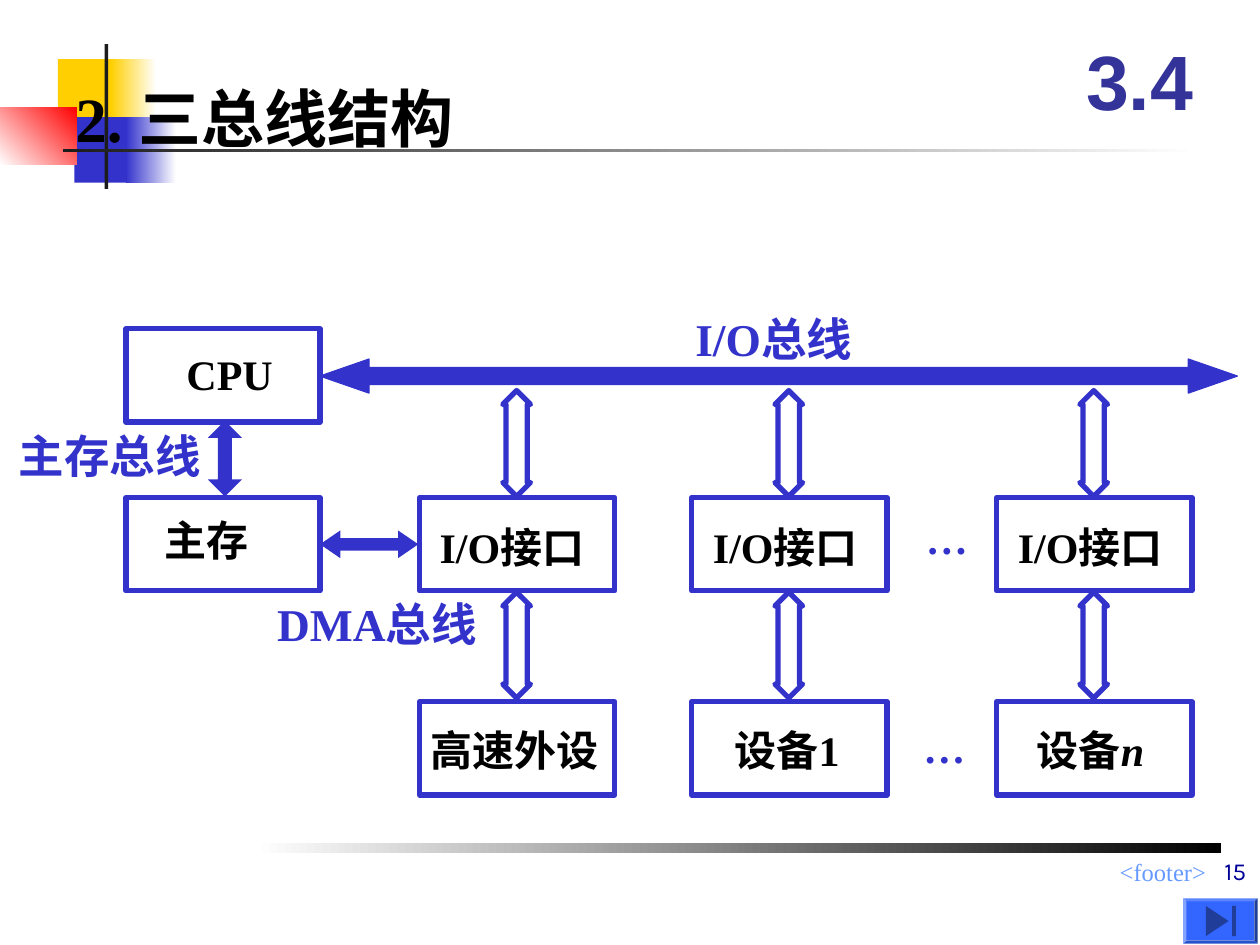
from lxml import etree
from pptx import Presentation
from pptx.dml.color import RGBColor
from pptx.enum.shapes import MSO_SHAPE
from pptx.enum.text import MSO_ANCHOR, PP_ALIGN
from pptx.oxml.ns import qn
from pptx.util import Inches, Pt

RECT = MSO_SHAPE.RECTANGLE
WIDE = MSO_SHAPE.LEFT_RIGHT_ARROW
TALL = MSO_SHAPE.UP_DOWN_ARROW
BEVEL = MSO_SHAPE.BEVEL
WEDGE = MSO_SHAPE.ISOSCELES_TRIANGLE
LEFT, MID, RIGHT = PP_ALIGN.LEFT, PP_ALIGN.CENTER, PP_ALIGN.RIGHT
TOP, CENTER, BOTTOM = MSO_ANCHOR.TOP, MSO_ANCHOR.MIDDLE, MSO_ANCHOR.BOTTOM
TIMES, CJK = "Times New Roman", "Noto Sans CJK SC"

COLORS = {
    "blue": "3333CC", "yellow": "FFCF01", "red": "FF0000", "white": "FFFFFF",
    "dark": "1C1C1C", "black": "000000", "foot": "6699FF", "page": "000099",
    "mark": "333399", "button": "3366FF", "glyph": "1F3D99",
}
RGB = {name: RGBColor.from_string(code) for name, code in COLORS.items()}

prs = Presentation()
prs.slide_width, prs.slide_height = Inches(10), Inches(7.5)
slide = prs.slides.add_slide(prs.slide_layouts[6])


def draw(kind, spot, fill=None, line=None, width=3, adj=(), angle=180):
    """Add a preset shape; a pair of colours as fill makes a gradient."""
    shape = slide.shapes.add_shape(kind, *[Inches(v) for v in spot])
    shape.shadow.inherit = False
    for i, value in enumerate(adj):
        shape.adjustments[i] = value
    if fill is None:
        shape.fill.background()
    elif isinstance(fill, tuple):
        shape.fill.gradient()
        shape.fill.gradient_angle = angle
        for stop, name in zip(shape.fill.gradient_stops, fill):
            stop.color.rgb = RGB[name]
    else:
        shape.fill.solid()
        shape.fill.fore_color.rgb = RGB[fill]
    if line:
        shape.line.color.rgb = RGB[line]
        shape.line.width = Pt(width)
    else:
        shape.line.fill.background()
    return shape


def write(spot, runs, size=24, color="black", bold=True, pad=True,
          wrap=True, align=LEFT, anchor=TOP):
    """Add a one-line text box; runs are (text, font) pairs."""
    frame = slide.shapes.add_textbox(*[Inches(v) for v in spot]).text_frame
    frame.word_wrap = wrap
    frame.vertical_anchor = anchor
    if not pad:
        frame.margin_left = frame.margin_right = 0
        frame.margin_top = frame.margin_bottom = 0
    para = frame.paragraphs[0]
    para.alignment = align
    font = para.font
    font.size, font.bold, font.name = Pt(size), bold, runs[0][1]
    font.color.rgb = RGB[color]
    base = para._p.pPr.find(qn("a:defRPr"))
    etree.SubElement(base, qn("a:ea")).set("typeface", CJK)
    for text, face in runs:
        run = para.add_run()
        run.text = text
        if face != runs[0][1]:
            run.font.name = face
    return para


# Corner ornament and rules
draw(RECT, (0.46, 0.47, 0.48, 0.52), "yellow")
draw(RECT, (0.88, 0.47, 0.36, 0.52), ("white", "yellow"))
draw(RECT, (0.59, 0.93, 0.46, 0.52), "blue")
draw(RECT, (1, 0.93, 0.4, 0.52), ("white", "blue"))
draw(RECT, (0, 0.85, 0.61, 0.46), ("red", "white"), angle=225)
draw(RECT, (0.83, 0.35, 0.03, 1.15), "dark")
draw(RECT, (0.5, 1.18, 9, 0.03), ("white", "dark"))
draw(RECT, (2.02, 6.69, 7.67, 0.08), ("black", "white"))

# Title, section mark and footer
write((0.5, 0.58, 8.5, 0.75), [("2. 三总线结构", TIMES)], 36)
write((8.42, 0.17, 1.25, 0.92), [("3.4", "Arial")], 44, "mark",
      align=MID, anchor=CENTER)
write((3.92, 6.75, 5.75, 0.26), [("<footer>", TIMES)], 14, "foot",
      bold=False, align=RIGHT)
write((5.21, 6.58, 4.78, 0.5), [("15", "Karla")], 14, "page",
      bold=False, align=RIGHT, anchor=BOTTOM)

# Three buses and their labels
draw(TALL, (1.65, 3.34, 0.27, 0.6), "blue", adj=(0.52, 0.41))
draw(WIDE, (2.54, 4.21, 0.78, 0.22), "blue", adj=(0.45, 0.73))
draw(WIDE, (2.54, 2.85, 7.28, 0.27), "blue", "blue", 0.75, (0.5, 1.44))
write((0.15, 3.4, 1.45, 0.43), [("主存总线", CJK)], 26, "blue",
      pad=False, wrap=False)
write((2.2, 4.73, 1.67, 0.43), [("DMA", TIMES), ("总线", CJK)], 26, "blue",
      pad=False, wrap=False)
write((5.42, 2.42, 1.53, 0.54), [("I/O总线", TIMES)], 26, "blue", wrap=False)

# CPU and main memory
for top in (2.61, 3.95):
    draw(RECT, (1, top, 1.54, 0.74), line="blue")
write((1.48, 2.77, 1.02, 0.4), [("CPU", TIMES)], pad=False)
write((1.31, 4.08, 1.2, 0.4), [("主存", CJK)], pad=False)

# Columns of interface and device: box left, label lefts, device runs
columns = [
    (3.33, 3.39, 3.42, [("高速外设", CJK)]),
    (5.49, 5.56, 5.83, [("设备", CJK), ("1", TIMES)]),
    (7.91, 7.98, 8.23, [("设备", CJK), ("n", TIMES)]),
]
for left, port, name, runs in columns:
    for top in (3.95, 5.57):
        draw(RECT, (left, top, 1.55, 0.74), line="blue")
    for top in (3.1, 4.7):
        draw(TALL, (left + 0.66, top, 0.22, 0.84), line="blue",
             adj=(0.5, 0.77))
    write((port, 4.09, 1.69, 0.5), [("I/O接口", TIMES)])
    label = write((name, 5.75, 1.4, 0.4), runs, pad=False)
label.runs[-1].font.italic = True

# Dots between the last two columns
for left, top in ((7.25, 4.02), (7.23, 5.68)):
    write((left, top, 0.53, 0.5), [("…", TIMES)], color="blue", wrap=False)

# Button to the last slide
draw(BEVEL, (9.39, 7.13, 0.59, 0.36), "button", adj=(0.07,))
draw(WEDGE, (9.54, 7.22, 0.24, 0.18), "glyph").rotation = 90
draw(RECT, (9.78, 7.19, 0.03, 0.24), "glyph")

prs.save("out.pptx")
